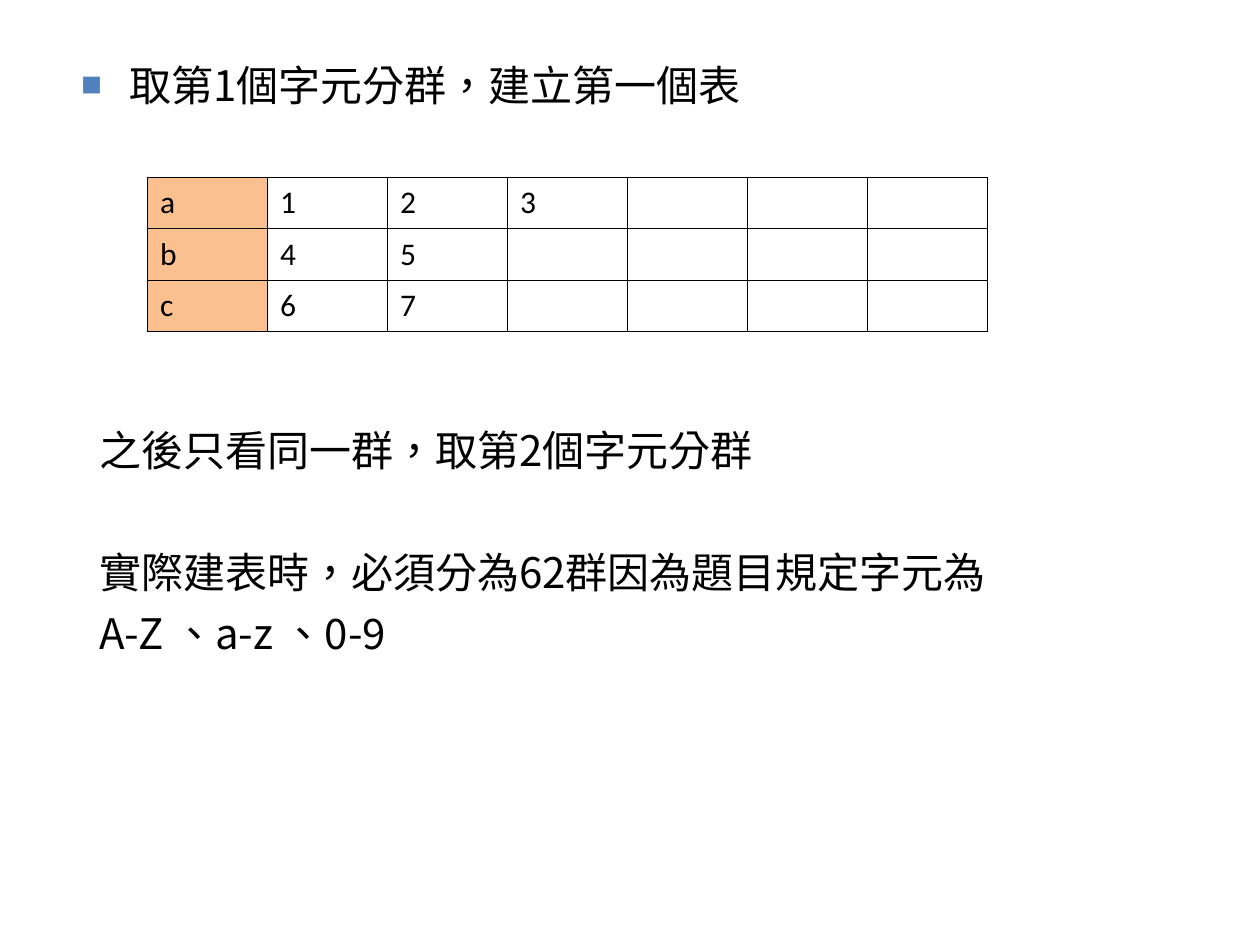
import pptx
import pptx.util
import pptx.dml.color
import pptx.oxml
import pptx.oxml.ns
from pptx.util import Inches

SANS = "Noto Sans CJK SC"
NS = pptx.oxml.ns.nsdecls("a")


def color(code):
    """Turn a hex string into a colour."""
    return pptx.dml.color.RGBColor.from_string(code)


def add_xml(parent, xml):
    """Append one drawing element to a parent."""
    tag, rest = xml.split(" ", 1)
    parent.append(pptx.oxml.parse_xml(f"{tag} {NS} {rest}"))


def add_run(para, text, size, face):
    """Add a black run in the given font."""
    run = para.add_run()
    run.text = text
    font = run.font
    font.size = pptx.util.Pt(size)
    font.name = face
    font.color.rgb = color("000000")
    props = run._r.get_or_add_rPr()
    props.set("lang", "zh-TW")
    add_xml(props, f'<a:ea typeface="{face}"/>')


def add_line(para, text, before, bullet=False):
    """Fill a body paragraph, with a square bullet if asked."""
    props = para._p.get_or_add_pPr()
    left, indent = (0.38, -0.38) if bullet else (0.14, 0)
    props.set("marL", str(Inches(left)))
    props.set("indent", str(Inches(indent)))
    if bullet:
        add_xml(props, '<a:buClr ><a:srgbClr val="4F81BD"/></a:buClr>')
        add_xml(props, '<a:buSzPct val="50000"/>')
        add_xml(props, f'<a:buFont typeface="{SANS}"/>')
        add_xml(props, '<a:buChar char="■"/>')
    para.line_spacing = pptx.util.Pt(28.8)
    para.space_before = pptx.util.Pt(before)
    add_run(para, text, 24, SANS)


def add_body(slide):
    """Add the steps around the table."""
    box = slide.shapes.add_textbox(Inches(0.55), Inches(0.42), Inches(9), Inches(6.12))
    frame = box.text_frame
    frame.word_wrap = True
    add_line(frame.paragraphs[0], "取第1個字元分群，建立第一個表", 0, True)
    for text, before in (
        ("之後只看同一群，取第2個字元分群", 180),
        ("實際建表時，必須分為62群因為題目規定字元為", 40.8),
        ("A-Z 、a-z 、0-9", 6),
    ):
        add_line(frame.add_paragraph(), text, before)


def set_cell(cell, text, fill):
    """Give a cell its thin border, fill and text."""
    props = cell._tc.get_or_add_tcPr()
    for side in "LRTB":
        add_xml(props, f'<a:ln{side} w="5715"><a:solidFill><a:srgbClr val="000000"/>'
                       f'</a:solidFill></a:ln{side}>')
    if fill:
        cell.fill.solid()
        cell.fill.fore_color.rgb = color(fill)
    else:
        cell.fill.background()
    if text:
        add_run(cell.text_frame.paragraphs[0], text, 18, "Calibri")


def add_groups(slide, rows, count):
    """Add the table of groups by first character."""
    wide, high = Inches(6.67), Inches(1.22)
    shape = slide.shapes.add_table(len(rows), count, Inches(1.17), Inches(1.41), wide, high)
    table = shape.table
    table.first_row = False
    table.horz_banding = False
    for y, row in enumerate(rows):
        for x, text in enumerate(row.ljust(count)):
            set_cell(table.cell(y, x), text.strip(), None if x else "FAC090")


def main():
    """Build and save the slide."""
    deck = pptx.Presentation()
    deck.slide_width, deck.slide_height = Inches(10), Inches(7.5)
    slide = deck.slides.add_slide(deck.slide_layouts[6])
    add_body(slide)
    add_groups(slide, ["a123", "b45", "c67"], 7)
    deck.save("out.pptx")


if __name__ == "__main__":
    main()
